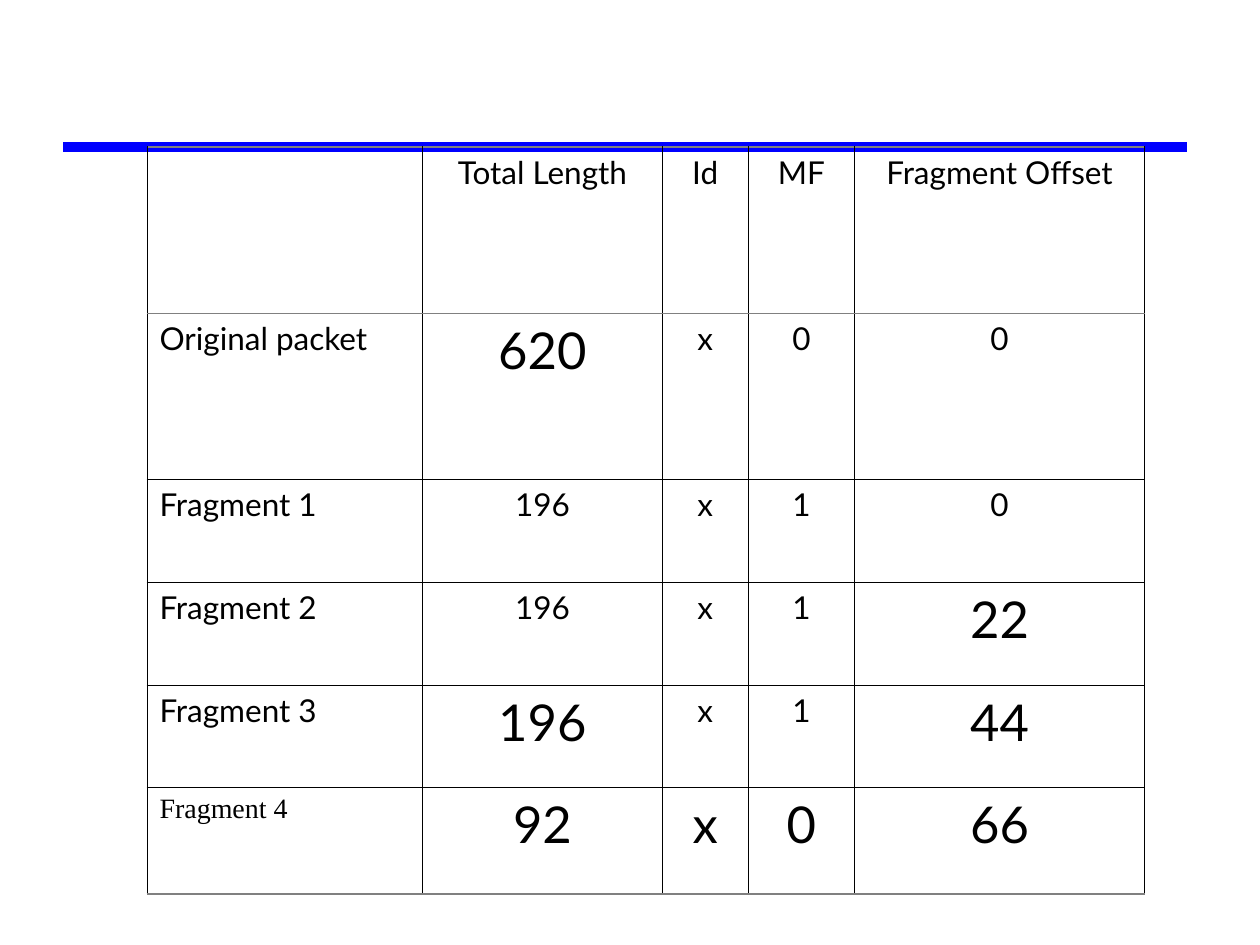
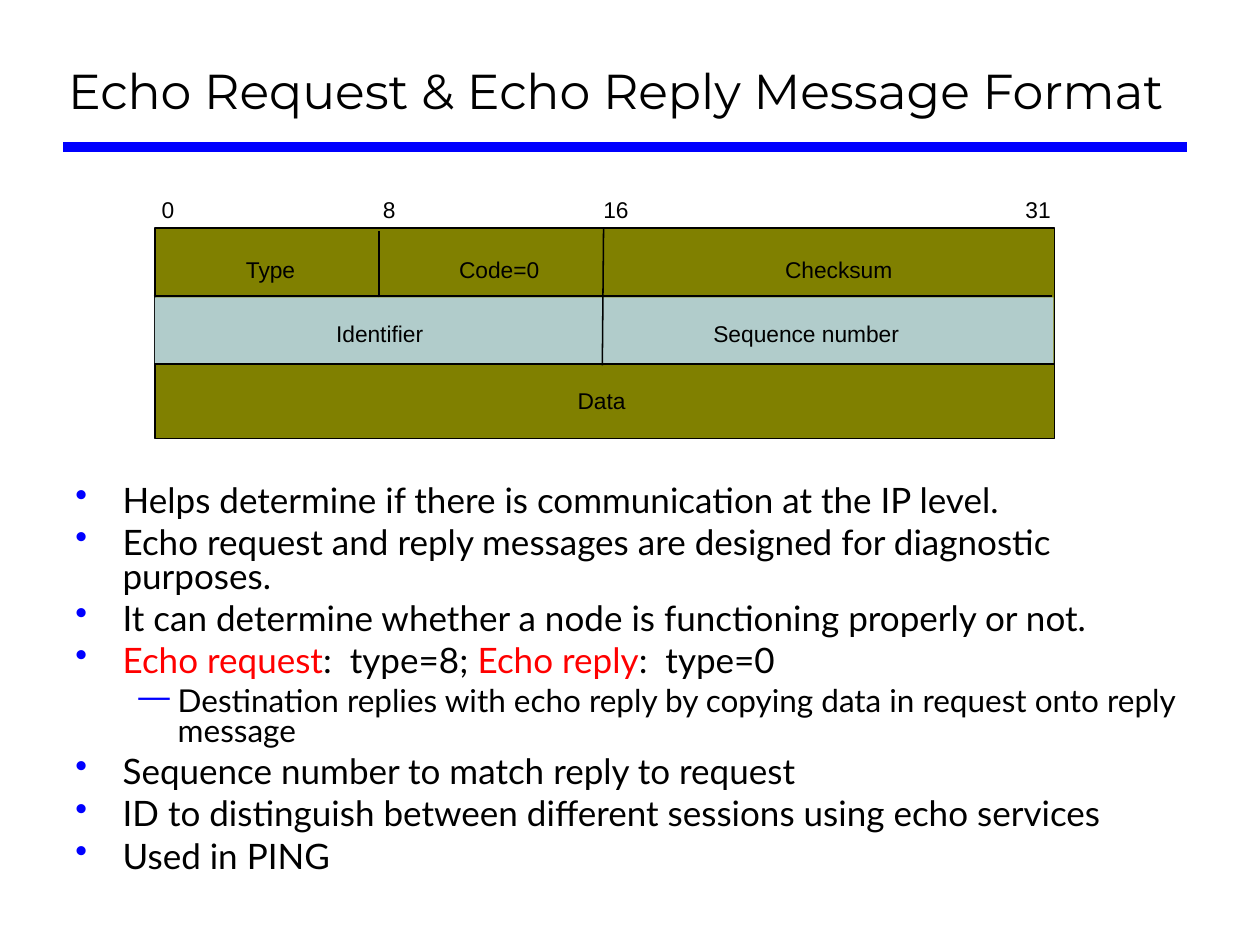
"""Build two slides on IP fragmentation and ICMP echo messages."""
from lxml import etree
from pptx import Presentation
from pptx.dml.color import RGBColor
from pptx.enum.shapes import MSO_CONNECTOR, MSO_SHAPE
from pptx.enum.text import MSO_ANCHOR, PP_ALIGN
from pptx.oxml.ns import qn
from pptx.util import Pt

LEFT, CENTER = PP_ALIGN.LEFT, PP_ALIGN.CENTER
BOTTOM = MSO_ANCHOR.BOTTOM
STRAIGHT = MSO_CONNECTOR.STRAIGHT
RECTANGLE = MSO_SHAPE.RECTANGLE
TITLE_ONLY, BLANK = 5, 6


class Theme:
    """Colours, fonts and sizes."""
    black = RGBColor(0, 0, 0)
    blue = RGBColor(0, 0, 255)
    red = RGBColor(255, 0, 0)
    gray = RGBColor(128, 128, 128)
    olive = RGBColor(128, 128, 0)
    teal = RGBColor(0xB1, 0xCC, 0xCB)
    title_font, body_font = "Montserrat", "Lato"
    diagram_font, serif_font = "Arial", "Times New Roman"
    title, point, subpoint, diagram = 28, 20, 18, 13
    cell, cell_large, cell_serif = 18, 29, 16
    rule, field_line, thin, edge = 6, 0.88, 0.45, 0.96


FRAGMENTS = [
    ["", "Total Length", "Id", "MF", "Fragment Offset"],
    ["Original packet", "620", "x", "0", "0"],
    ["Fragment 1", "196", "x", "1", "0"],
    ["Fragment 2", "196", "x", "1", "22"],
    ["Fragment 3", "196", "x", "1", "44"],
    ["Fragment 4", "92", "x", "0", "66"],
]
LARGE_CELLS = {(1, 1), (3, 4), (4, 1), (4, 4), (5, 1), (5, 2), (5, 3), (5, 4)}
SERIF_CELL = (5, 0)
COLUMN_WIDTHS = [157.5, 137, 49, 61, 165.5]
ROW_HEIGHTS = [95, 95, 58.75, 58.75, 58.5, 61]

ECHO_TITLE = "Echo Request & Echo Reply Message Format"
HEADER_LABELS = [
    (111.6, [("0", 96), ("8", 222.3), ("16", 352), ("31", 593.2)]),
    (146.2, [("Type", 154.6), ("Code=0", 285.2), ("Checksum", 479.2)]),
    (182.9, [("Identifier", 216.9), ("Sequence number", 460.6)]),
    (221.3, [("Data", 343.7)]),
]
FIELD_DIVIDERS = [
    (89.2, 208.1, 602.6, 208.1),
    (216.7, 169.9, 216.7, 131.8),
    (344.2, 208.8, 344.9, 131),
    (87.8, 169.2, 601.2, 169.2),
]
ECHO_POINTS = [
    (0, ["Helps determine if there is communication at the IP level."]),
    (0, ["Echo request and reply messages are designed for diagnostic purposes."]),
    (0, ["It can determine whether a node is functioning properly or not."]),
    (0, ["Echo request", ":  type=8; ", "Echo reply", ":  type=0"]),
    (1, ["Destination replies with echo reply by copying data in request onto reply message"]),
    (0, ["Sequence number to match reply to request"]),
    (0, ["ID to distinguish between different sessions using echo services"]),
    (0, ["Used in PING"]),
]
HIGHLIGHTS = {"Echo request", "Echo reply"}
POINT_LEVELS = [("•", 27, -27, 5, Theme.point), ("—", 58.5, -22.5, 4.5, Theme.subpoint)]


def set_font(paragraph, name, size, color=Theme.black):
    font = paragraph.font
    font.name, font.size = name, Pt(size)
    font.color.rgb = color


def add_line(slide, ends, color, width):
    line = slide.shapes.add_connector(STRAIGHT, *map(Pt, ends))
    line.line.color.rgb = color
    line.line.width = Pt(width)
    etree.SubElement(line._element.spPr, qn("a:effectLst"))


def new_slide(deck, layout):
    slide = deck.slides.add_slide(deck.slide_layouts[layout])
    add_line(slide, (36, 84, 678.5, 84), Theme.blue, Theme.rule)
    return slide


def set_borders(cell, top, bottom):
    side = (Theme.black, Theme.thin)
    borders = zip(("lnL", "lnR", "lnT", "lnB"), (side, side, top, bottom))
    for position, (tag, (color, width)) in enumerate(borders):
        border = etree.Element(qn(f"a:{tag}"), w=str(int(Pt(width))))
        fill = etree.SubElement(border, qn("a:solidFill"))
        etree.SubElement(fill, qn("a:srgbClr"), val=str(color))
        cell._tc.get_or_add_tcPr().insert(position, border)


def add_fragment_table(slide):
    table = slide.shapes.add_table(
        len(ROW_HEIGHTS), len(COLUMN_WIDTHS), Pt(84), Pt(84),
        Pt(sum(COLUMN_WIDTHS)), Pt(sum(ROW_HEIGHTS))).table
    table.first_row = table.horz_banding = False
    for column, width in zip(table.columns, COLUMN_WIDTHS):
        column.width = Pt(width)
    for row, height in zip(table.rows, ROW_HEIGHTS):
        row.height = Pt(height)

    edge = (Theme.gray, Theme.edge)
    inner = (Theme.black, Theme.thin)
    rules = [edge, (Theme.gray, Theme.thin)] + [inner] * 4 + [edge]
    for r, row in enumerate(FRAGMENTS):
        for c, text in enumerate(row):
            cell = table.cell(r, c)
            cell.fill.background()
            set_borders(cell, rules[r], rules[r + 1])
            cell.text = text
            paragraph = cell.text_frame.paragraphs[0]
            paragraph.alignment = CENTER if c else LEFT
            if (r, c) == SERIF_CELL:
                set_font(paragraph, Theme.serif_font, Theme.cell_serif)
            else:
                large = (r, c) in LARGE_CELLS
                set_font(paragraph, Theme.body_font, Theme.cell_large if large else Theme.cell)


def add_field_band(slide, bounds, color, outlined):
    band = slide.shapes.add_shape(RECTANGLE, *map(Pt, bounds))
    band.shadow.inherit = False
    band.fill.solid()
    band.fill.fore_color.rgb = color
    if outlined:
        band.line.color.rgb = Theme.black
        band.line.width = Pt(Theme.field_line)
    else:
        band.line.fill.background()


def add_header_label(slide, text, center, top):
    width = 120
    frame = slide.shapes.add_textbox(Pt(center - width / 2), Pt(top), Pt(width), Pt(16)).text_frame
    frame.margin_left = frame.margin_right = frame.margin_top = frame.margin_bottom = 0
    frame.word_wrap = True
    frame.text = text
    frame.paragraphs[0].alignment = CENTER
    set_font(frame.paragraphs[0], Theme.diagram_font, Theme.diagram)


def add_message_header(slide):
    add_field_band(slide, (88.5, 130.3, 514, 120.2), Theme.olive, True)
    add_field_band(slide, (88.5, 169.9, 513.5, 37.5), Theme.teal, False)
    for ends in FIELD_DIVIDERS:
        add_line(slide, ends, Theme.black, Theme.field_line)
    for top, labels in HEADER_LABELS:
        for text, center in labels:
            add_header_label(slide, text, center, top)


def add_bullet(paragraph, mark, margin, indent):
    properties = paragraph._p.get_or_add_pPr()
    properties.set("marL", str(int(Pt(margin))))
    properties.set("indent", str(int(Pt(indent))))
    color = etree.SubElement(properties, qn("a:buClr"))
    etree.SubElement(color, qn("a:srgbClr"), val=str(Theme.blue))
    etree.SubElement(properties, qn("a:buChar"), char=mark)


def add_echo_points(slide):
    frame = slide.shapes.add_textbox(Pt(36), Pt(274.3), Pt(648), Pt(237.6)).text_frame
    frame.word_wrap = True
    for index, (level, pieces) in enumerate(ECHO_POINTS):
        paragraph = frame.add_paragraph() if index else frame.paragraphs[0]
        mark, margin, indent, gap, size = POINT_LEVELS[level]
        paragraph.level = level
        add_bullet(paragraph, mark, margin, indent)
        paragraph.line_spacing = 0.8
        if index:
            paragraph.space_before = Pt(gap)
        set_font(paragraph, Theme.body_font, size)
        for piece in pieces:
            run = paragraph.add_run()
            run.text = piece
            if piece in HIGHLIGHTS:
                run.font.color.rgb = Theme.red


def set_title(slide, text):
    title = slide.shapes.title
    title.left, title.top, title.width, title.height = map(Pt, (31.7, 12.2, 645.8, 59.8))
    frame = title.text_frame
    frame.vertical_anchor = BOTTOM
    frame.text = text
    frame.paragraphs[0].alignment = LEFT
    set_font(frame.paragraphs[0], Theme.title_font, Theme.title)


def main():
    deck = Presentation()
    deck.slide_width, deck.slide_height = Pt(720), Pt(540)
    add_fragment_table(new_slide(deck, BLANK))
    echo = new_slide(deck, TITLE_ONLY)
    set_title(echo, ECHO_TITLE)
    add_message_header(echo)
    add_echo_points(echo)
    deck.save("out.pptx")


if __name__ == "__main__":
    main()
